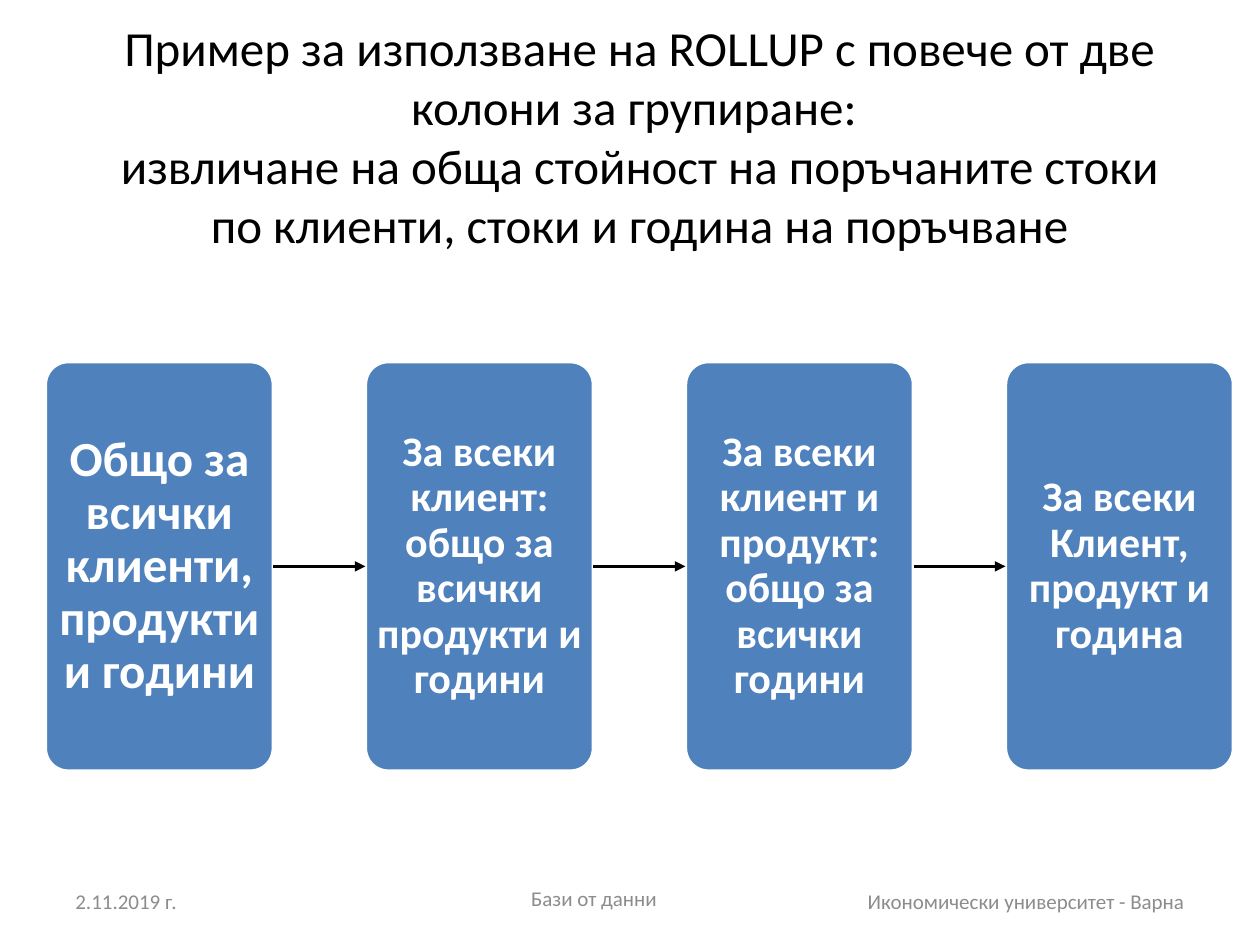
from lxml.etree import SubElement
from pptx import Presentation
from pptx.dml.color import RGBColor
from pptx.enum.shapes import MSO_CONNECTOR, MSO_SHAPE
from pptx.enum.text import MSO_ANCHOR, MSO_AUTO_SIZE, PP_ALIGN
from pptx.oxml.ns import qn
from pptx.util import Inches, Pt

THEME = {
    "font": "Calibri",
    "ink": RGBColor(0x00, 0x00, 0x00),
    "paper": RGBColor(0xFF, 0xFF, 0xFF),
    "step": RGBColor(0x4F, 0x81, 0xBD),
    "muted": RGBColor(0x8C, 0x8C, 0x8C),
    "title_size": 28,
    "first_step_size": 28,
    "step_size": 24,
    "footer_size": 12,
    "line": Pt(2),
}


def write(holder, text, size, color, align=PP_ALIGN.CENTER, bold=False, **frame_format):
    """Fill a shape with one middle-anchored paragraph and return it."""
    frame = holder.text_frame
    frame_format = {"word_wrap": True, "auto_size": MSO_AUTO_SIZE.NONE,
                    "vertical_anchor": MSO_ANCHOR.MIDDLE, **frame_format}
    for name, value in frame_format.items():
        setattr(frame, name, value)
    paragraph = frame.paragraphs[0]
    paragraph.text = text
    paragraph.alignment = align
    for run in paragraph.runs:
        for name, value in {"name": THEME["font"], "size": Pt(size), "bold": bold}.items():
            setattr(run.font, name, value)
        run.font.color.rgb = color
    return paragraph


deck = Presentation()
deck.slide_width, deck.slide_height = Inches(10), Inches(7.5)
slide = deck.slides.add_slide(deck.slide_layouts[5])

# Title
title = slide.shapes.title
title_place = {"left": 0.7, "top": 0.21, "width": 8.75, "height": 1.73}
for name, value in title_place.items():
    setattr(title, name, Inches(value))
write(title,
      "Пример за използване на ROLLUP с повече от две колони за групиране: \v"
      "извличане на обща стойност на поръчаните стоки по клиенти, стоки и година на поръчване",
      THEME["title_size"], THEME["ink"])

# Grouping levels, from the grand total to the finest detail
levels = [
    "Общо за всички клиенти, продукти и години",
    "За всеки клиент: общо за всички продукти и години",
    "За всеки клиент и продукт: общо за всички години",
    "За всеки Клиент, продукт и година",
]
row_left, row_top, column_pitch = 0.36, 2.87, 2.54
step_width, step_height = 1.81, 3.25
inset = Inches(0.02)
insets = {f"margin_{side}": inset for side in ("left", "top", "right", "bottom")}

steps = []
for column, level in enumerate(levels):
    step = slide.shapes.add_shape(
        MSO_SHAPE.ROUNDED_RECTANGLE,
        Inches(row_left + column * column_pitch), Inches(row_top),
        Inches(step_width), Inches(step_height))
    step.adjustments[0] = 0.1
    step.shadow.inherit = False
    step.fill.solid()
    step.fill.fore_color.rgb = THEME["step"]
    step.line.color.rgb = THEME["paper"]
    step.line.width = THEME["line"]
    size = THEME["step_size"] if column else THEME["first_step_size"]
    paragraph = write(step, level, size, THEME["paper"], bold=True, **insets)
    paragraph.line_spacing = 0.9
    steps.append(step)

for source, target in zip(steps, steps[1:]):
    arrow = slide.shapes.add_connector(MSO_CONNECTOR.STRAIGHT, 0, 0, 0, 0)
    arrow.begin_connect(source, 3)
    arrow.end_connect(target, 1)
    arrow.line.color.rgb = THEME["ink"]
    arrow.line.width = THEME["line"]
    SubElement(arrow.line._get_or_add_ln(), qn("a:tailEnd"), type="triangle")
    SubElement(arrow._element.spPr, qn("a:effectLst"))

# Footer: left, top, width, alignment, text
footers = [
    (0.5, 6.95, 2.33, PP_ALIGN.LEFT, "2.11.2019 г."),
    (3.53, 6.93, 2.37, PP_ALIGN.CENTER, "Бази от данни"),
    (6.73, 6.95, 2.77, PP_ALIGN.RIGHT, "Икономически университет - Варна"),
]
for left, top, width, align, text in footers:
    footer = slide.shapes.add_textbox(Inches(left), Inches(top), Inches(width), Inches(0.4))
    write(footer, text, THEME["footer_size"], THEME["muted"], align)

deck.save("out.pptx")
